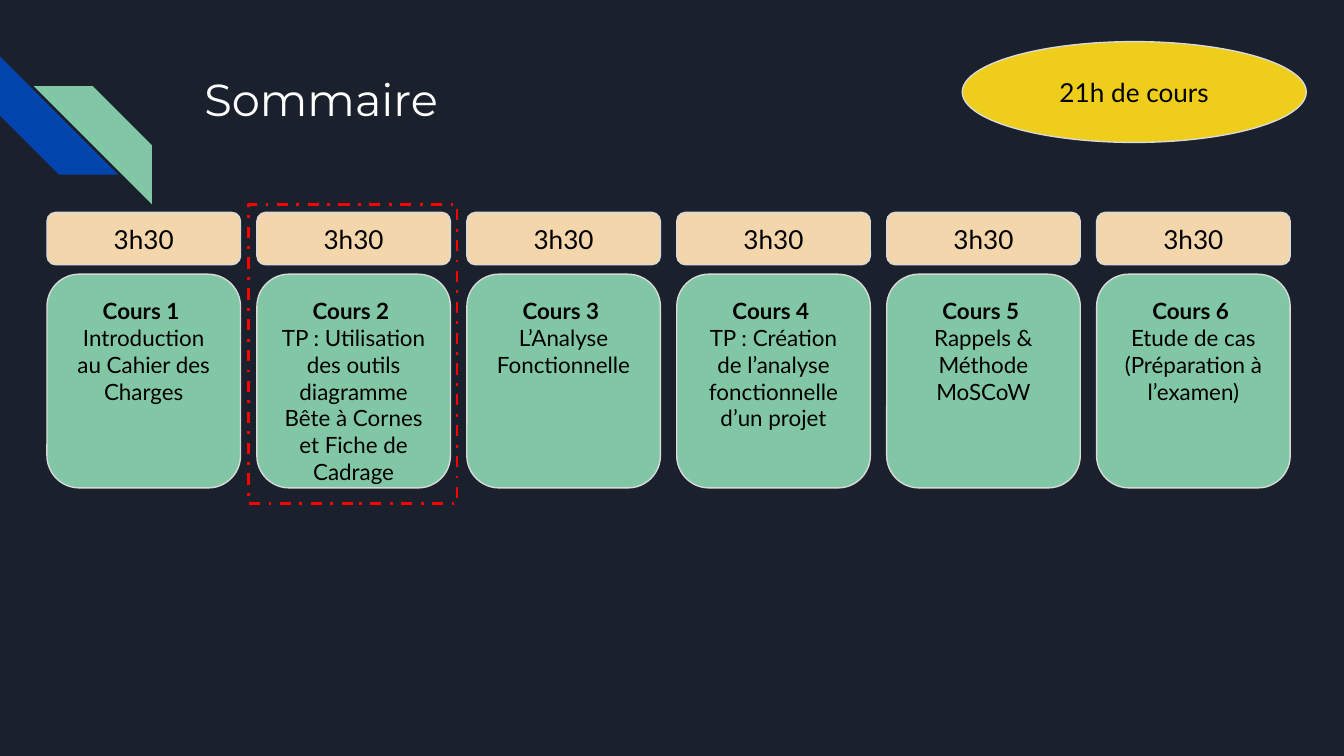
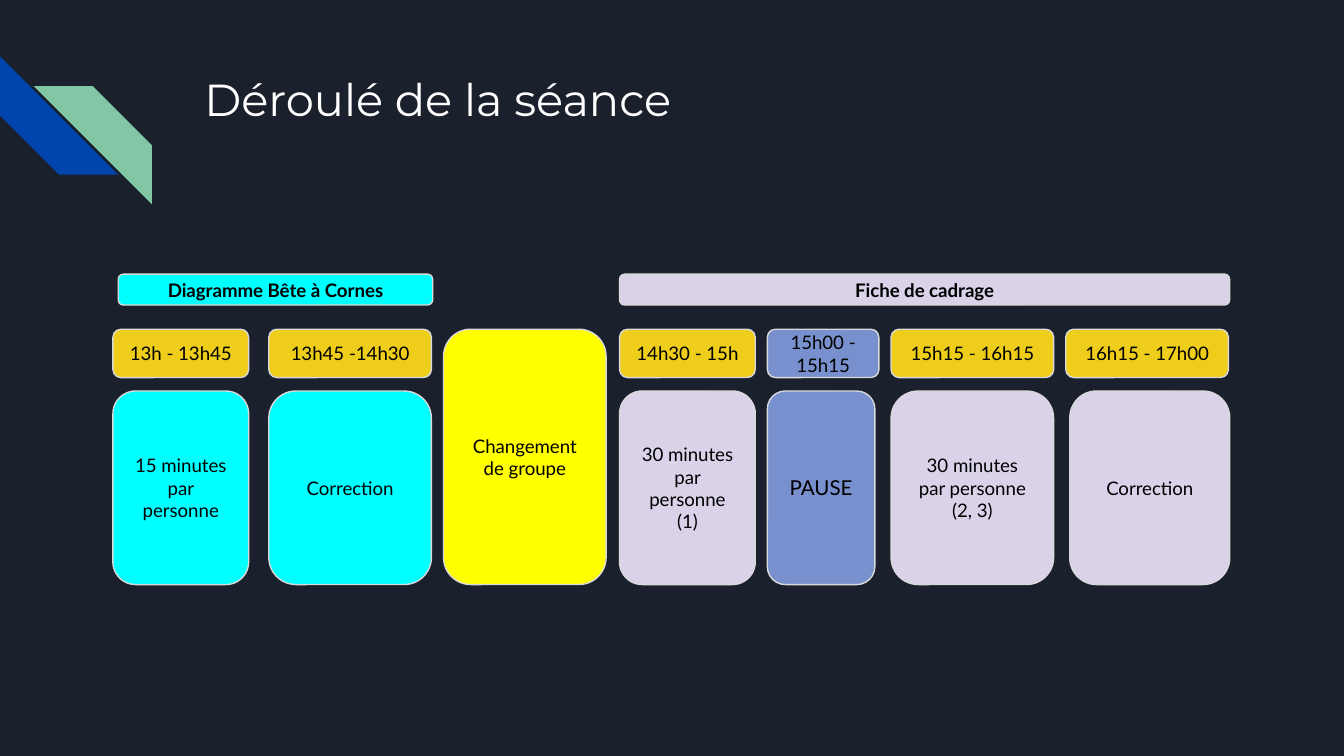
import pptx
import pptx.dml.color
import pptx.enum.dml
import pptx.enum.shapes
import pptx.enum.text
import pptx.util

Inches = pptx.util.Inches
SHAPES = pptx.enum.shapes.MSO_SHAPE
ALIGN = pptx.enum.text.PP_ALIGN
ANCHOR = pptx.enum.text.MSO_ANCHOR

NIGHT = "1B212C"
BLUE = "0145AC"
GREEN = "82C7A5"
GOLD = "EECE1A"
PEACH = "F4D6AD"
CYAN = "00FFFF"
YELLOW = "FFFF00"
LILAC = "D9D2E9"
PERIWINKLE = "7890CD"
OUTLINE = "D9D9D9"
RED = "FF0000"
WHITE = "FFFFFF"
BLACK = "000000"


def color(hex_string):
    return pptx.dml.color.RGBColor.from_string(hex_string)


def write(frame, text, size=10, font="Lato", ink=BLACK, bold=False,
          bold_first=False, align=ALIGN.CENTER, anchor=ANCHOR.MIDDLE):
    frame.word_wrap = True
    frame.auto_size = pptx.enum.text.MSO_AUTO_SIZE.NONE
    frame.vertical_anchor = anchor
    frame.margin_left = frame.margin_right = Inches(0.1)
    frame.margin_top = frame.margin_bottom = Inches(0.1)
    frame.text = text
    for index, paragraph in enumerate(frame.paragraphs):
        paragraph.alignment = align
        run_font = paragraph.runs[0].font
        run_font.name = font
        run_font.size = pptx.util.Pt(size)
        run_font.bold = bold or (bold_first and index == 0)
        run_font.color.rgb = color(ink)


class Deck:
    """Hold the presentation, its shared style and the current slide."""

    def __init__(self):
        self.presentation = pptx.Presentation()
        self.presentation.slide_width = Inches(10)
        self.presentation.slide_height = Inches(10) * 9 // 16
        background = self.presentation.slide_master.background.fill
        background.solid()
        background.fore_color.rgb = color(NIGHT)
        self.slide = None

    def add_slide(self, title, width, height):
        layout = self.presentation.slide_layouts.get_by_name("Title Only")
        self.slide = self.presentation.slides.add_slide(layout)
        self.stripe(0, 0.42, BLUE).rotation = 270
        mirrored = self.stripe(0.25, 0.64, GREEN)
        mirrored.element.spPr.xfrm.set("flipH", "1")
        shape = self.slide.shapes.title
        shape.left, shape.top = Inches(1.42), Inches(0.43)
        shape.width, shape.height = Inches(width), Inches(height)
        write(shape.text_frame, title, size=24, font="Montserrat", ink=WHITE,
              align=ALIGN.LEFT, anchor=ANCHOR.TOP)

    def shape(self, kind, left, top, width, height, fill=None, line=None, weight=0.75):
        shape = self.slide.shapes.add_shape(
            kind, Inches(left), Inches(top), Inches(width), Inches(height))
        shape.shadow.inherit = False
        if fill:
            shape.fill.solid()
            shape.fill.fore_color.rgb = color(fill)
        else:
            shape.fill.background()
        if line:
            shape.line.color.rgb = color(line)
            shape.line.width = pptx.util.Pt(weight)
        else:
            shape.line.fill.background()
        return shape

    def stripe(self, left, top, fill):
        return self.shape(SHAPES.DIAGONAL_STRIPE, left, top, 0.88, 0.88, fill)

    def box(self, text, left, top, width, height, fill,
            kind=SHAPES.ROUNDED_RECTANGLE, **text_format):
        shape = self.shape(kind, left, top, width, height, fill, OUTLINE)
        write(shape.text_frame, text, **text_format)

    def highlight(self, left, top, width, height):
        frame = self.shape(SHAPES.RECTANGLE, left, top, width, height,
                           line=RED, weight=1.5)
        frame.line.dash_style = pptx.enum.dml.MSO_LINE.DASH_DOT


def build_summary(deck):
    courses = [
        "Introduction au Cahier des Charges",
        "TP : Utilisation des outils diagramme Bête à Cornes et Fiche de Cadrage",
        "L’Analyse Fonctionnelle",
        "TP : Création de l’analyse fonctionnelle d’un projet",
        "Rappels & Méthode MoSCoW",
        "Etude de cas (Préparation à l’examen)",
    ]
    first_left, last_left, width = 0.35, 8.16, 1.44
    pitch = (last_left - first_left) / (len(courses) - 1)

    deck.add_slide("Sommaire", 2.61, 0.63)
    for index, course in enumerate(courses):
        left = first_left + index * pitch
        deck.box(f"Cours {index + 1} \n{course}", left, 2.04, width, 1.59, GREEN,
                 size=12, bold_first=True, anchor=ANCHOR.TOP)
        deck.box("3h30", left, 1.58, width, 0.39, PEACH, size=14)
    deck.box("21h de cours", 7.16, 0.31, 2.56, 0.75, GOLD,
             kind=SHAPES.OVAL, size=14)
    deck.highlight(1.85, 1.52, 1.55, 2.23)


def build_session(deck):
    header_top, slot_top, activity_top, bottom = 2.04, 2.45, 2.91, 4.35
    headers = [
        ("Diagramme Bête à Cornes", 0.88, 2.34, CYAN),
        ("Fiche de cadrage", 4.61, 4.54, LILAC),
    ]
    slots = [
        ("13h - 13h45", 0.84, 1.01, GOLD),
        ("13h45 -14h30", 2, 1.21, GOLD),
        ("14h30 - 15h", 4.61, 1.01, GOLD),
        ("15h00 - 15h15", 5.71, 0.83, PERIWINKLE),
        ("15h15 - 16h15", 6.63, 1.21, GOLD),
        ("16h15 - 17h00", 7.93, 1.21, GOLD),
    ]
    activities = [
        ("15 minutes par personne", 0.84, 1.01, CYAN, 10),
        ("Correction", 2, 1.21, CYAN, 10),
        ("30 minutes par personne\n(1)", 4.61, 1.01, LILAC, 10),
        ("PAUSE", 5.71, 0.8, PERIWINKLE, 11),
        ("30 minutes par personne\n(2, 3)", 6.63, 1.21, LILAC, 10),
        ("Correction", 7.96, 1.19, LILAC, 10),
    ]

    deck.add_slide("Déroulé de la séance", 7.7, 1)
    for text, left, width, fill in headers:
        deck.box(text, left, header_top, width, 0.23, fill, bold=True)
    for text, left, width, fill in slots:
        deck.box(text, left, slot_top, width, 0.36, fill)
    for text, left, width, fill, size in activities:
        deck.box(text, left, activity_top, width, bottom - activity_top, fill, size=size)
    deck.box("Changement de groupe", 3.3, slot_top, 1.21, bottom - slot_top, YELLOW)


def main():
    deck = Deck()
    build_summary(deck)
    build_session(deck)
    deck.presentation.save("out.pptx")


if __name__ == "__main__":
    main()
